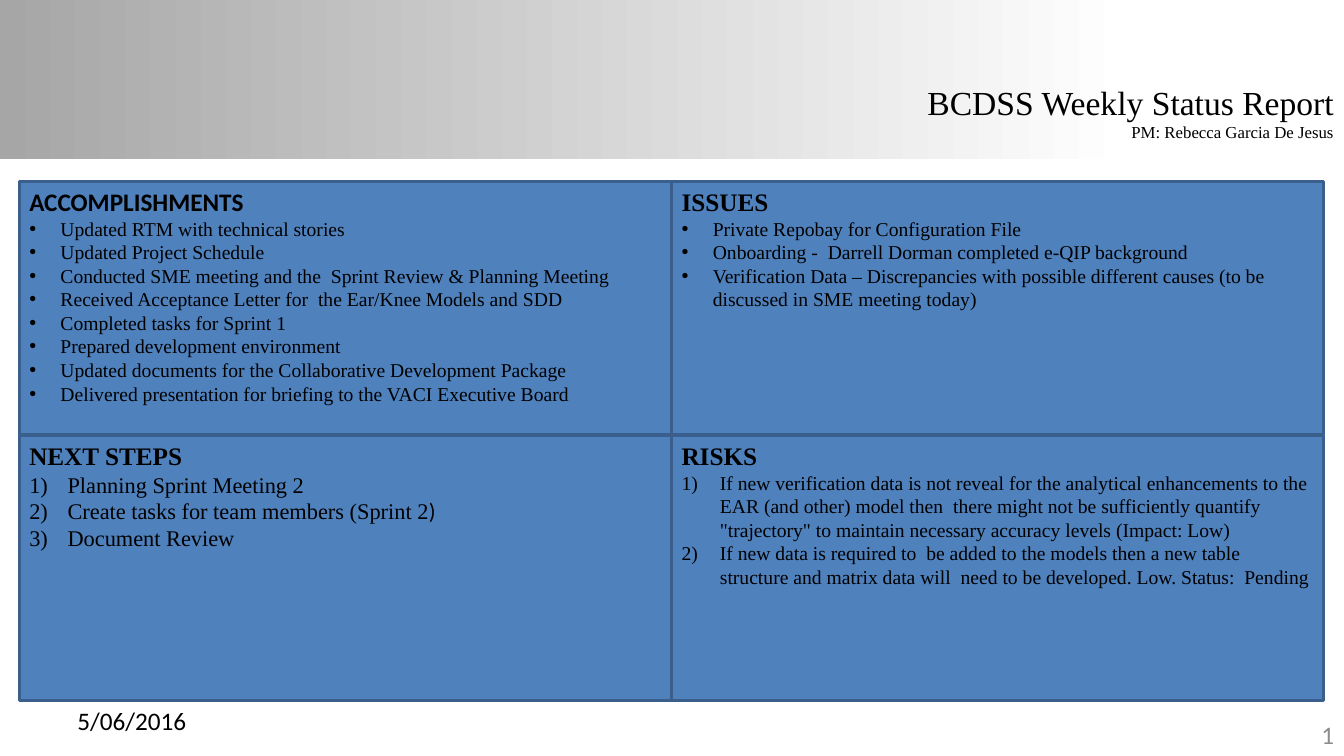
from lxml.etree import SubElement
from pptx import Presentation
from pptx.dml.color import RGBColor as Rgb
from pptx.enum.shapes import MSO_SHAPE as Kind
from pptx.enum.text import MSO_ANCHOR as Anchor, MSO_AUTO_SIZE as Fit, PP_ALIGN as Align
from pptx.oxml.ns import qn
from pptx.util import Inches, Pt

HEX = {"ink": "000000", "page": "8C8C8C", "fill": "4F81BD", "edge": "3A5F8C",
       "grey": "A6A6A6", "white": "FFFFFF"}
SERIF, SANS = "Times New Roman", "Calibri"
LEFT, TOP, WIDE = (0.19, 6.66), (1.8, 4.32), 6.47
HIGH = (2.51, 2.63)

# Heading, heading font, list size, numbered, items
PANELS = [
    ("ACCOMPLISHMENTS", SANS, 14, False, [
        "Updated RTM with technical stories",
        "Updated Project Schedule",
        "Conducted SME meeting and the  Sprint Review & Planning Meeting",
        "Received Acceptance Letter for  the Ear/Knee Models and SDD",
        "Completed tasks for Sprint 1",
        "Prepared development environment",
        "Updated documents for the Collaborative Development Package",
        "Delivered presentation for briefing to the VACI Executive Board"]),
    ("ISSUES", SERIF, 14, False, [
        "Private Repobay for Configuration File",
        "Onboarding -  Darrell Dorman completed e-QIP background",
        "Verification Data – Discrepancies with possible different causes "
        "(to be discussed in SME meeting today)"]),
    ("NEXT STEPS", SERIF, 16, True, [
        "Planning Sprint Meeting 2",
        ("Create tasks for team members (Sprint 2", ")"),
        "Document Review"]),
    ("RISKS", SERIF, 14, True, [
        "If new verification data is not reveal for the analytical enhancements "
        "to the EAR (and other) model then  there might not be sufficiently "
        "quantify \"trajectory\" to maintain necessary accuracy levels (Impact: Low)",
        "If new data is required to  be added to the models then a new table "
        "structure and matrix data will  need to be developed. "
        "Low. Status:  Pending"]),
]


def hue(name):
    return Rgb.from_string(HEX[name])


def write(para, text, size=18, face=SERIF, ink="ink", bold=False, align=Align.LEFT):
    para.alignment = align
    para.space_before = Pt(0)
    run = para.add_run()
    run.text = text
    font = run.font
    font.size, font.name, font.bold = Pt(size), face, bold
    font.color.rgb = hue(ink)


def mark(para, kind=None, hang=0):
    """Set the hanging indent and the bullet: None, "dot" or "num"."""
    props = para._p.get_or_add_pPr()
    props.set("marL", str(Inches(hang)))
    props.set("indent", str(-Inches(hang)))
    if kind == "dot":
        SubElement(props, qn("a:buFont")).set("typeface", "Arial")
        SubElement(props, qn("a:buChar")).set("char", "•")
    elif kind == "num":
        SubElement(props, qn("a:buFont")).set("typeface", "+mj-lt")
        SubElement(props, qn("a:buAutoNum")).set("type", "arabicParenR")
    else:
        SubElement(props, qn("a:buNone"))


def place(shape, box):
    shape.left, shape.top, shape.width, shape.height = map(Inches, box)


class Report:
    def __init__(self, deck):
        self.slide = deck.slides.add_slide(deck.slide_layouts[4])
        self.shapes = self.slide.shapes

    def band(self, box):
        band = self.shapes.add_shape(Kind.RECTANGLE, *map(Inches, box))
        band.shadow.inherit = False
        band.line.fill.background()
        band.fill.gradient()
        band.fill.gradient_angle = 0
        for stop, name, spot in zip(band.fill.gradient_stops, ("grey", "white"), (0, 0.84)):
            stop.color.rgb = hue(name)
            stop.position = spot
        self.shapes._spTree.insert(2, band._element)

    def title(self, text, note, box):
        title = self.shapes.title
        place(title, box)
        frame = title.text_frame
        frame.word_wrap = False
        frame.auto_size = Fit.SHAPE_TO_FIT_TEXT
        frame.vertical_anchor = Anchor.TOP
        write(frame.paragraphs[0], text, size=24, align=Align.RIGHT)
        write(frame.add_paragraph(), note, size=12, align=Align.RIGHT)

    def panel(self, shape, box, head, face, size, count, items):
        place(shape, box)
        shape.fill.solid()
        shape.fill.fore_color.rgb = hue("fill")
        shape.line.color.rgb = hue("edge")
        shape.line.width = Pt(2)
        frame = shape.text_frame
        frame.word_wrap = True
        frame.auto_size = Fit.NONE
        frame.vertical_anchor = Anchor.TOP
        mark(frame.paragraphs[0])
        write(frame.paragraphs[0], head, face=face, bold=True)
        for item in items:
            para = frame.add_paragraph()
            mark(para, *(("num", 0.38) if count else ("dot", 0.31)))
            parts = (item,) if isinstance(item, str) else item
            for part, font in zip(parts, (SERIF, SANS)):
                write(para, part, size=size, face=font)

    def label(self, text, box, **form):
        frame = self.shapes.add_textbox(*map(Inches, box)).text_frame
        frame.word_wrap = True
        frame.vertical_anchor = Anchor.MIDDLE
        write(frame.paragraphs[0], text, face=SANS, **form)


def main():
    deck = Presentation()
    deck.slide_width, deck.slide_height = Inches(13.33), Inches(7.5)
    page = Report(deck)
    page.band((0, 0, 13.33, 1.58))
    page.title("BCDSS Weekly Status Report", "PM: Rebecca Garcia De Jesus",
               (9.06, 0.76, 4.27, 0.71))
    bodies = [s for s in page.slide.placeholders if s.placeholder_format.idx]
    for i, (body, panel) in enumerate(zip(bodies, PANELS)):
        row, col = divmod(i, 2)
        page.panel(body, (LEFT[col], TOP[row], WIDE, HIGH[row]), *panel)
    page.label("5/06/2016", (0.67, 6.95, 3.11, 0.4))
    page.label("1", (10.22, 7.09, 3.11, 0.4), ink="page", align=Align.RIGHT)
    deck.save("out.pptx")


if __name__ == "__main__":
    main()
